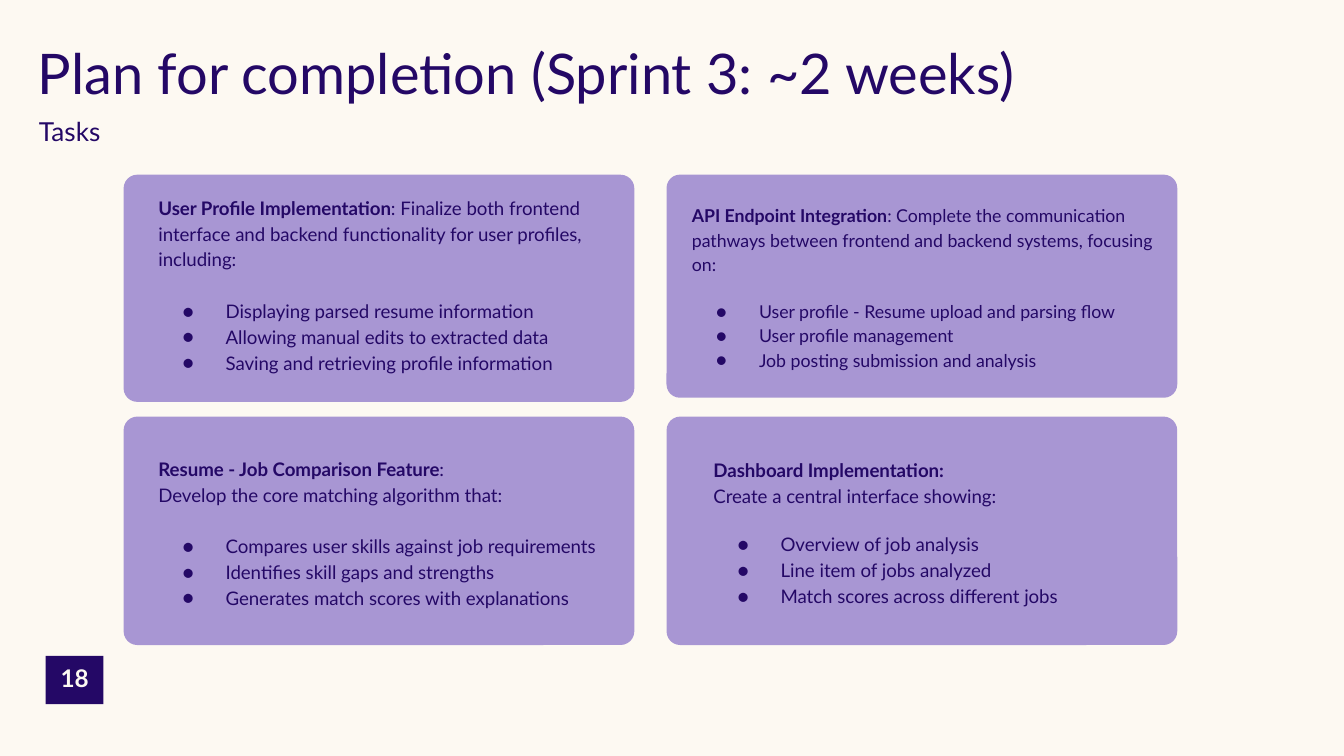
from copy import deepcopy
from dataclasses import dataclass

from lxml import etree
from pptx import Presentation
from pptx.dml.color import RGBColor
from pptx.enum.shapes import MSO_SHAPE
from pptx.enum.text import MSO_ANCHOR, MSO_AUTO_SIZE, PP_ALIGN
from pptx.oxml.ns import qn
from pptx.util import Inches, Pt

CREAM = RGBColor(0xFD, 0xF9, 0xF2)
INDIGO = RGBColor(0x24, 0x08, 0x66)
LAVENDER = RGBColor(0xA8, 0x96, 0xD3)
RECTANGLE = MSO_SHAPE.RECTANGLE
ROUNDED = MSO_SHAPE.ROUNDED_RECTANGLE
MIDDLE = MSO_ANCHOR.MIDDLE
NO_AUTOFIT = MSO_AUTO_SIZE.NONE
LEFT, CENTER = PP_ALIGN.LEFT, PP_ALIGN.CENTER
FONT = "Lato"

# Widescreen slide
SLIDE_WIDTH = 10
SLIDE_HEIGHT = SLIDE_WIDTH * 9 / 16

# Card grid
COLUMN_LEFTS = (0.92, 4.96)
ROW_TOPS = (1.3, 3.1)
CARD_WIDTH = 3.8


@dataclass
class Task:
    column: int
    row: int
    height: float
    text_box: tuple[float, float, float, float]
    topic: str
    intro: str  # a newline starts a new line in the same paragraph
    steps: tuple[str, ...]
    size: float = 10
    gap: float = 13.8  # points between the intro and the steps


TASKS = (
    Task(1, 0, 1.66, (5.05, 1.3, 3.64, 1.66), "API Endpoint Integration",
         ": Complete the communication pathways between frontend and backend "
         "systems, focusing on:",
         ("User profile - Resume upload and parsing flow",
          "User profile management",
          "Job posting submission and analysis"), size=9.5, gap=12),
    Task(0, 0, 1.69, (1.08, 1.37, 3.51, 1.48), "User Profile Implementation",
         ": Finalize both frontend interface and backend functionality for "
         "user profiles, including:",
         ("Displaying parsed resume information",
          "Allowing manual edits to extracted data",
          "Saving and retrieving profile information")),
    Task(1, 1, 1.7, (5.21, 3.32, 3.32, 1.27), "Dashboard Implementation:",
         "\nCreate a central interface showing:",
         ("Overview of job analysis",
          "Line item of jobs analyzed",
          "Match scores across different jobs"), gap=12),
    Task(0, 1, 1.7, (1.08, 3.26, 3.59, 1.39), "Resume - Job Comparison Feature",
         ":\nDevelop the core matching algorithm that:",
         ("Compares user skills against job requirements",
          "Identifies skill gaps and strengths",
          "Generates match scores with explanations")),
)


def place(shape, left: float, top: float, width: float, height: float) -> None:
    shape.left, shape.top = Inches(left), Inches(top)
    shape.width, shape.height = Inches(width), Inches(height)


def prepare_frame(frame) -> None:
    frame.word_wrap = True
    frame.auto_size = NO_AUTOFIT
    frame.vertical_anchor = MIDDLE
    frame.margin_left = frame.margin_right = Inches(0.1)
    frame.margin_top = frame.margin_bottom = Inches(0.1)


def style_run(run, size: float, color: RGBColor = INDIGO, bold: bool = False) -> None:
    run.font.name = FONT
    run.font.size = Pt(size)
    run.font.bold = bold
    run.font.color.rgb = color


def write_line(shape, text: str, size: float, color: RGBColor = INDIGO,
               bold: bool = False, align=LEFT) -> None:
    frame = shape.text_frame
    prepare_frame(frame)
    frame.text = text
    line = frame.paragraphs[0]
    line.alignment = align
    line.line_spacing = 0.8
    line.space_before = Pt(0)
    style_run(line.runs[0], size, color, bold)


def add_panel(slide, kind, box: tuple[float, float, float, float], color: RGBColor):
    panel = slide.shapes.add_shape(kind, *map(Inches, box))
    panel.shadow.inherit = False
    panel.fill.solid()
    panel.fill.fore_color.rgb = color
    panel.line.fill.background()
    return panel


def add_bullet(paragraph) -> None:
    properties = paragraph._p.get_or_add_pPr()
    properties.set("marL", str(Inches(0.5)))
    properties.set("indent", str(Inches(-0.32)))
    color = etree.SubElement(properties, qn("a:buClr"))
    etree.SubElement(color, qn("a:srgbClr"), val=str(INDIGO))
    etree.SubElement(properties, qn("a:buFont"), typeface=FONT)
    etree.SubElement(properties, qn("a:buChar"), char="●")


def write_heading(paragraph, task: Task) -> None:
    paragraph.text = task.topic
    style_run(paragraph.runs[0], task.size, bold=True)
    for number, line in enumerate(task.intro.split("\n")):
        if number:
            paragraph.add_line_break()
        if line:
            run = paragraph.add_run()
            run.text = line
            style_run(run, task.size)
    # Line breaks take the text size, so that they do not stretch the line
    for line_break in paragraph._p.findall(qn("a:br")):
        line_break.append(deepcopy(paragraph.runs[-1].font._element))


def draw_task(slide, task: Task) -> None:
    card = add_panel(slide, ROUNDED, (COLUMN_LEFTS[task.column], ROW_TOPS[task.row],
                                      CARD_WIDTH, task.height), LAVENDER)
    card.adjustments[0] = 0.06
    frame = slide.shapes.add_textbox(*map(Inches, task.text_box)).text_frame
    prepare_frame(frame)
    heading = frame.paragraphs[0]
    heading.line_spacing = 1.15
    write_heading(heading, task)
    for number, step in enumerate(task.steps):
        item = frame.add_paragraph()
        item.text = step
        add_bullet(item)
        item.line_spacing = 1.15
        item.space_before = Pt(0 if number else task.gap)
        style_run(item.runs[0], task.size)


def main() -> None:
    deck = Presentation()
    deck.slide_width, deck.slide_height = Inches(SLIDE_WIDTH), Inches(SLIDE_HEIGHT)
    slide = deck.slides.add_slide(deck.slide_layouts[0])
    slide.background.fill.solid()
    slide.background.fill.fore_color.rgb = CREAM

    # Title and subtitle
    title, subtitle = slide.placeholders
    place(title, 0.18, 0.26, 9.28, 0.65)
    write_line(title, "Plan for completion (Sprint 3: ~2 weeks)", 30)
    place(subtitle, 0.19, 0.76, 1.22, 0.48)
    write_line(subtitle, "Tasks", 14)

    # Page number
    page_number = add_panel(slide, RECTANGLE, (0.34, 4.88, 0.43, 0.36), INDIGO)
    write_line(page_number, "18", 13, CREAM, bold=True, align=CENTER)

    # Task cards
    for task in TASKS:
        draw_task(slide, task)

    deck.save("out.pptx")


if __name__ == "__main__":
    main()
